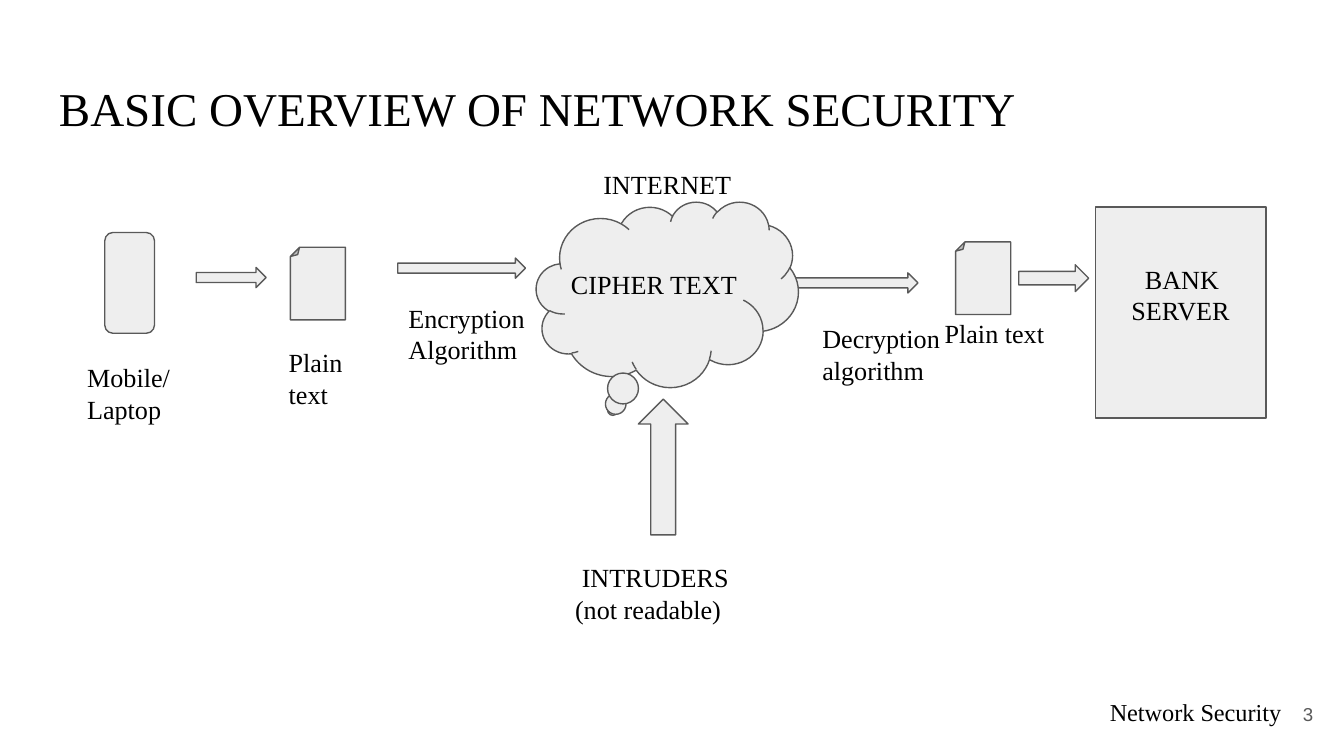
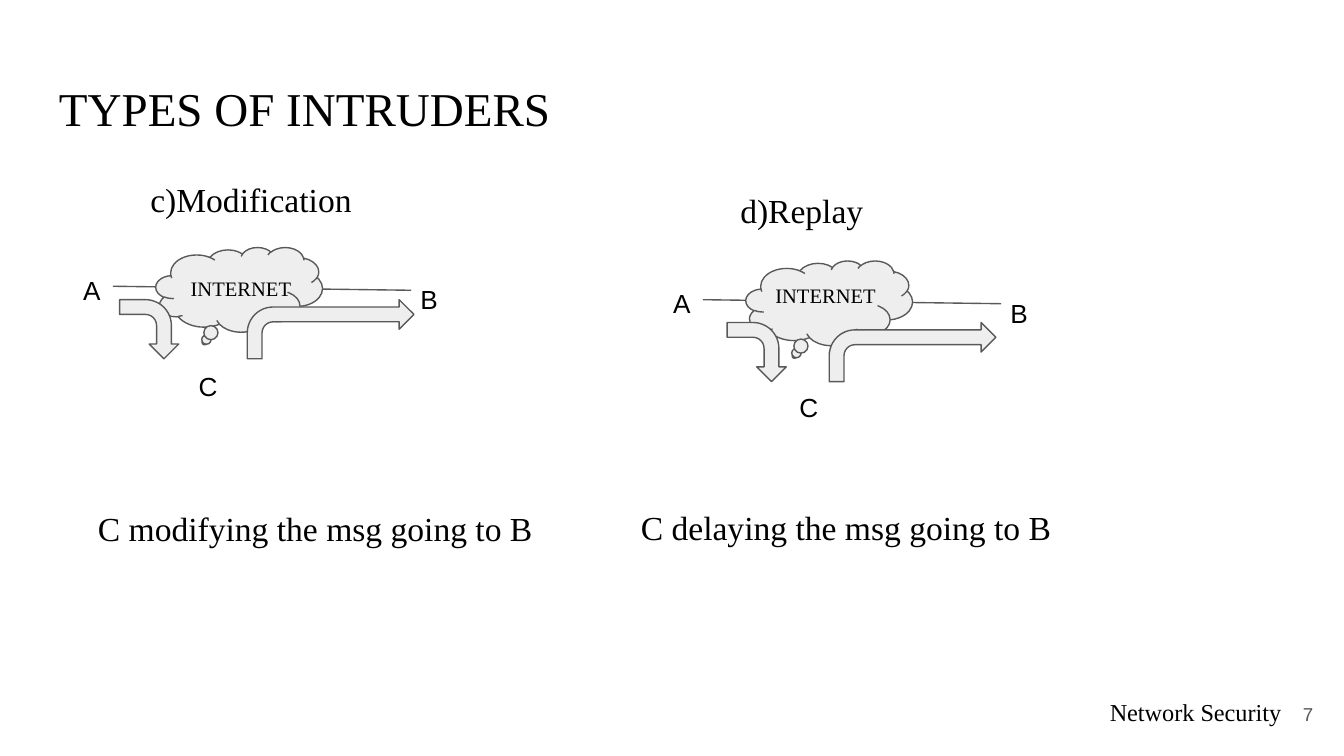
import dataclasses

import pptx
import pptx.dml.color
import pptx.enum.shapes
import pptx.enum.text
import pptx.oxml.ns
import pptx.slide
import pptx.util
from lxml import etree

Inches = pptx.util.Inches
RGBColor = pptx.dml.color.RGBColor
SHAPE = pptx.enum.shapes.MSO_SHAPE
ALIGN = pptx.enum.text.PP_ALIGN
ANCHOR = pptx.enum.text.MSO_ANCHOR
AUTO = pptx.enum.text.MSO_AUTO_SIZE

BLACK = RGBColor(0x00, 0x00, 0x00)
GREY = RGBColor(0x59, 0x59, 0x59)
PALE = RGBColor(0xEE, 0xEE, 0xEE)
SERIF = "Times New Roman"
SANS = "Arial"
LINE_WIDTH = pptx.util.Pt(0.75)
CLOUD_TAIL = (-0.208, 0.625)
BEND = (0.25, 0.25, 0.25, 0.4375)


@dataclasses.dataclass(frozen=True)
class Label:
    text: str
    x: float
    y: float
    w: float
    h: float = 0.44
    indents: tuple[float, ...] = ()


@dataclasses.dataclass(frozen=True)
class Node:
    kind: SHAPE
    x: float
    y: float
    w: float
    h: float
    adj: tuple[float, ...] = ()
    rot: float = 0


@dataclasses.dataclass(frozen=True)
class Attack:
    """One intruder diagram; the cloud corner is its origin."""
    x: float
    y: float
    arrow_y: float
    in_x: float
    out_x: float
    c_x: float
    c_y: float
    heading: Label
    internet: Label
    caption: Label


def add_text(s: pptx.slide.Slide, label: Label, *, size: float = 14,
             font: str = SERIF, color: RGBColor = BLACK,
             align: ALIGN = ALIGN.LEFT, anchor: ANCHOR = ANCHOR.TOP,
             grow: bool = True) -> None:
    sp = s.shapes.add_textbox(Inches(label.x), Inches(label.y),
                              Inches(label.w), Inches(label.h))
    tf = sp.text_frame
    tf.word_wrap = True
    tf.auto_size = AUTO.SHAPE_TO_FIT_TEXT if grow else AUTO.NONE
    tf.vertical_anchor = anchor
    tf.margin_left = tf.margin_right = Inches(0.1)
    tf.margin_top = tf.margin_bottom = Inches(0.1)
    for i, line in enumerate(label.text.split("\n")):
        p = tf.add_paragraph() if i else tf.paragraphs[0]
        p.alignment = align
        if i < len(label.indents):
            p._p.get_or_add_pPr().set("marL", str(Inches(label.indents[i])))
        r = p.add_run()
        r.text = line
        r.font.size = pptx.util.Pt(size)
        r.font.name = font
        r.font.color.rgb = color


def add_node(s: pptx.slide.Slide, node: Node) -> None:
    sp = s.shapes.add_shape(node.kind, Inches(node.x), Inches(node.y),
                            Inches(node.w), Inches(node.h))
    sp.shadow.inherit = False
    sp.rotation = node.rot
    for i, value in enumerate(node.adj):
        sp.adjustments[i] = value
    sp.fill.solid()
    sp.fill.fore_color.rgb = PALE
    sp.line.color.rgb = GREY
    sp.line.width = LINE_WIDTH


def add_line(s: pptx.slide.Slide, x1: float, y1: float,
             x2: float, y2: float) -> None:
    cx = s.shapes.add_connector(pptx.enum.shapes.MSO_CONNECTOR.STRAIGHT,
                                Inches(x1), Inches(y1), Inches(x2), Inches(y2))
    cx.line.color.rgb = GREY
    cx.line.width = LINE_WIDTH
    etree.SubElement(cx._element.spPr, pptx.oxml.ns.qn("a:effectLst"))


def add_slide(prs, title: str, number: int) -> pptx.slide.Slide:
    """Blank slide with the shared title, footer and page number."""
    s = prs.slides.add_slide(prs.slide_layouts[6])
    add_text(s, Label("Network Security", 7.88, 5.09, 2.03, 0.62),
             size=13, align=ALIGN.CENTER)
    add_text(s, Label(title, 0.34, 0.49, 9.32, 0.63), size=25.2, grow=False)
    add_text(s, Label(str(number), 9.27, 5.1, 0.6, 0.43), size=10, font=SANS,
             color=GREY, align=ALIGN.RIGHT, anchor=ANCHOR.MIDDLE, grow=False)
    return s


def add_attack(s: pptx.slide.Slide, a: Attack) -> None:
    add_line(s, a.x - 0.32, a.y + 0.29, a.x + 1.9, a.y + 0.32)
    for end in (Label("A", a.x - 0.64, a.y + 0.1, 0.5),
                Label("B", a.x + 1.87, a.y + 0.17, 0.5)):
        add_text(s, end, font=SANS)
    add_node(s, Node(SHAPE.CLOUD_CALLOUT, a.x, a.y, 1.24, 0.63, CLOUD_TAIL))
    add_text(s, Label("C", a.c_x, a.c_y, 0.41), font=SANS)
    add_node(s, Node(SHAPE.BENT_ARROW, a.out_x, a.arrow_y, 1.24, 0.44, BEND))
    add_node(s, Node(SHAPE.BENT_ARROW, a.in_x, a.arrow_y, 0.44, 0.44, BEND, 90))
    add_text(s, a.internet, size=11)
    add_text(s, a.heading, size=18)
    add_text(s, a.caption, size=18)


# Overview: message path from device to server
NODES = (
    Node(SHAPE.ROUNDED_RECTANGLE, 0.78, 1.73, 0.37, 0.75),
    Node(SHAPE.RIGHT_ARROW, 1.46, 1.99, 0.52, 0.15),
    Node(SHAPE.FOLDED_CORNER, 2.16, 1.84, 0.41, 0.54, rot=180),
    Node(SHAPE.RIGHT_ARROW, 2.96, 1.92, 0.95, 0.15),
    Node(SHAPE.RIGHT_ARROW, 5.88, 2.03, 0.95, 0.15),
    Node(SHAPE.FOLDED_CORNER, 7.11, 1.8, 0.41, 0.54, rot=180),
    Node(SHAPE.RIGHT_ARROW, 7.58, 1.97, 0.52, 0.2),
    Node(SHAPE.RECTANGLE, 8.15, 1.54, 1.27, 1.57),
    Node(SHAPE.UP_ARROW, 4.75, 2.97, 0.37, 1.01),
    Node(SHAPE.CLOUD_CALLOUT, 3.99, 1.5, 1.95, 1.38, CLOUD_TAIL),
)
LABELS = (
    Label("Mobile/\nLaptop", 0.55, 2.59, 0.83, 0.67),
    Label("Plain\ntext", 2.05, 2.48, 0.83, 0.67),
    Label("Encryption\nAlgorithm", 2.94, 2.15, 1.15, 0.67),
    Label("Decryption algorithm", 6.02, 2.3, 1.23, 0.67),
    Label("Plain text", 6.93, 2.26, 0.95),
    Label("INTRUDERS\n(not readable)", 3.79, 4.08, 1.95, 0.67, (0.44, 0.39)),
    Label("BANK\nSERVER", 8.32, 1.86, 1.04, 0.67, (0.1,)),
    Label("CIPHER TEXT", 4.15, 1.9, 1.73),
    Label("INTERNET", 4, 1.15, 2.22, indents=(0.39,)),
)

# Intruder types: two diagrams side by side
ATTACKS = (
    Attack(1.16, 1.84, arrow_y=2.23, in_x=0.89, out_x=1.84, c_x=1.38, c_y=2.66,
           heading=Label("c)Modification", 1.02, 1.23, 2.53, 0.5),
           internet=Label("INTERNET", 1.32, 1.96, 1.24, 0.39),
           caption=Label("C modifying the msg going to B",
                         0.63, 3.68, 4.11, 0.5)),
    Attack(5.55, 1.94, arrow_y=2.4, in_x=5.41, out_x=6.17, c_x=5.85, c_y=2.81,
           heading=Label("d)Replay", 5.41, 1.31, 2.43, 0.5),
           internet=Label("INTERNET", 5.67, 2.01, 1.42, 0.39),
           caption=Label("C delaying the msg going to B",
                         4.67, 3.67, 3.43, 0.5)),
)


def main() -> None:
    prs = pptx.Presentation()
    prs.slide_width = Inches(10)
    prs.slide_height = Inches(10 * 9 / 16)

    s = add_slide(prs, "BASIC OVERVIEW OF NETWORK SECURITY", 3)
    for node in NODES:
        add_node(s, node)
    for label in LABELS:
        add_text(s, label)

    s = add_slide(prs, "TYPES OF INTRUDERS", 7)
    for attack in ATTACKS:
        add_attack(s, attack)

    prs.save("out.pptx")


main()
